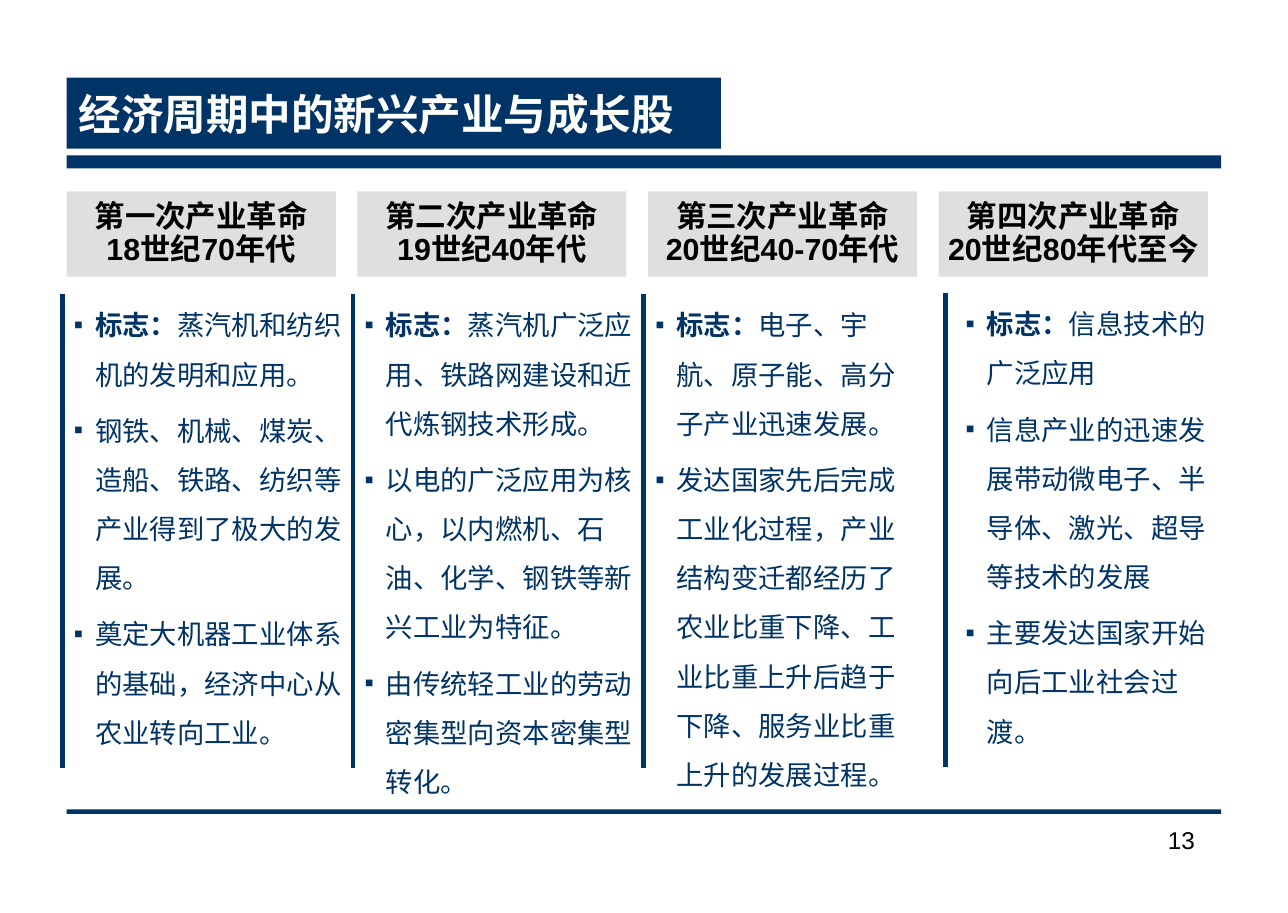
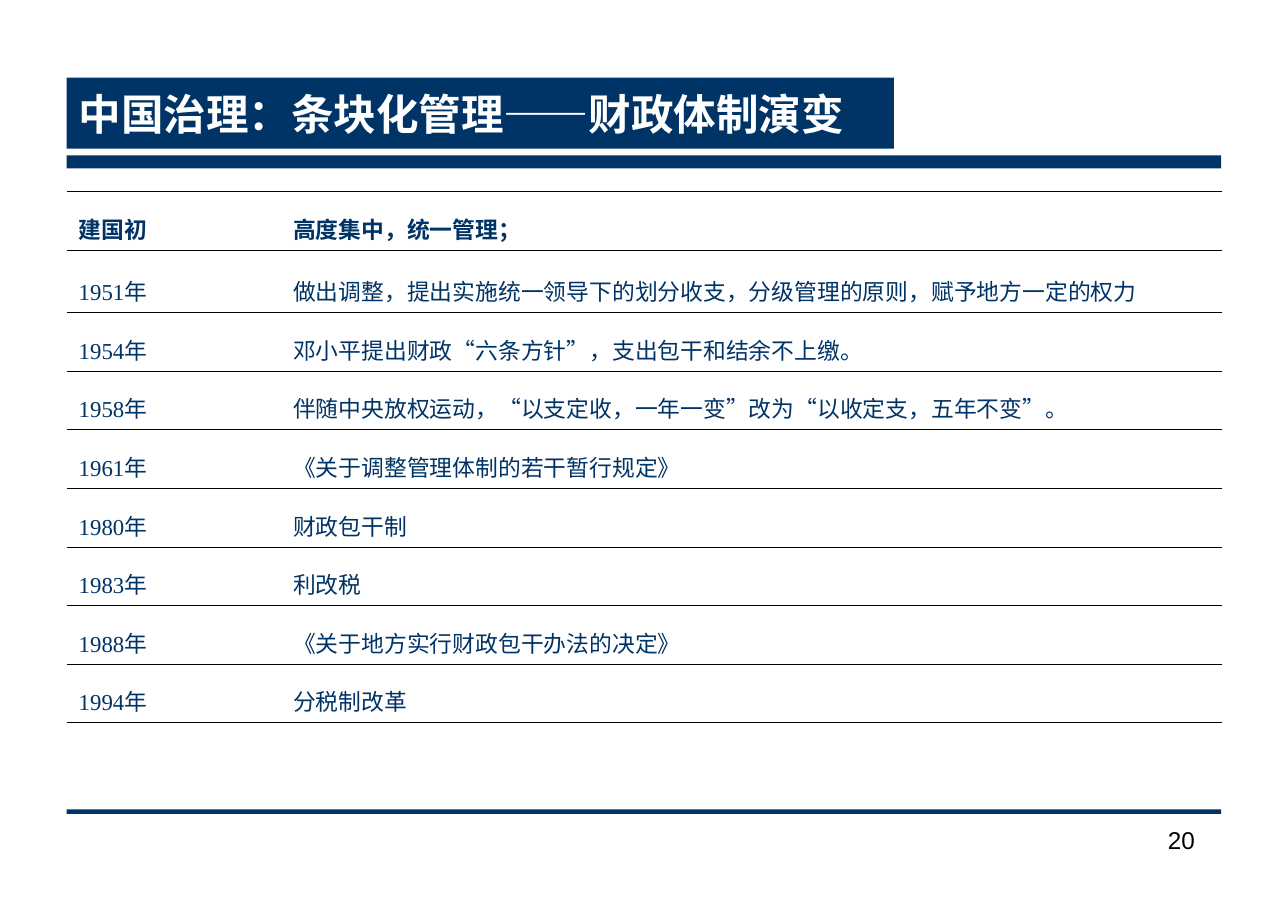
from dataclasses import dataclass

from lxml import etree
from pptx import Presentation
from pptx.dml.color import RGBColor
from pptx.enum.shapes import MSO_CONNECTOR, MSO_SHAPE
from pptx.enum.text import MSO_ANCHOR, MSO_AUTO_SIZE, PP_ALIGN
from pptx.oxml.ns import qn
from pptx.util import Cm, Inches, Pt

RECTANGLE, STRAIGHT = MSO_SHAPE.RECTANGLE, MSO_CONNECTOR.STRAIGHT
TOP, MIDDLE, BOTTOM = MSO_ANCHOR.TOP, MSO_ANCHOR.MIDDLE, MSO_ANCHOR.BOTTOM
LEFT, CENTER, RIGHT, JUSTIFY = PP_ALIGN.LEFT, PP_ALIGN.CENTER, PP_ALIGN.RIGHT, PP_ALIGN.JUSTIFY
NO_AUTOFIT = MSO_AUTO_SIZE.NONE


@dataclass(frozen=True)
class Theme:
    navy: str = "003366"
    grey: str = "DFDFDF"
    white: str = "FFFFFF"
    black: str = "000000"
    sans: str = "Arial"
    serif: str = "Times New Roman"
    title: int = 28
    heading: int = 20
    body: int = 18
    number: int = 16
    table: int = 15


THEME = Theme()

# Content
LEAD = "标志："
REVOLUTIONS = [
    {"heading": ("第一次产业革命", "18世纪70年代"), "width": 2.75,
     "points": ("蒸汽机和纺织机的发明和应用。",
                "钢铁、机械、煤炭、造船、铁路、纺织等产业得到了极大的发展。",
                "奠定大机器工业体系的基础，经济中心从农业转向工业。")},
    {"heading": ("第二次产业革命", "19世纪40年代"), "width": 2.81,
     "points": ("蒸汽机广泛应用、铁路网建设和近代炼钢技术形成。",
                "以电的广泛应用为核心，以内燃机、石油、化学、钢铁等新兴工业为特征。",
                "由传统轻工业的劳动密集型向资本密集型转化。")},
    {"heading": ("第三次产业革命", "20世纪40-70年代"), "width": 2.65,
     "points": ("电子、宇航、原子能、高分子产业迅速发展。",
                "发达国家先后完成工业化过程，产业结构变迁都经历了农业比重下降、"
                "工业比重上升后趋于下降、服务业比重上升的发展过程。")},
    {"heading": ("第四次产业革命", "20世纪80年代至今"), "width": 2.56,
     "rule_shift": 0.1, "text_shift": 0.18, "rise": 0.01,
     "points": ("信息技术的广泛应用",
                "信息产业的迅速发展带动微电子、半导体、激光、超导等技术的发展",
                "主要发达国家开始向后工业社会过渡。")},
]
FISCAL_HISTORY = [
    ("建国初", "高度集中，统一管理；"),
    ("1951年", "做出调整，提出实施统一领导下的划分收支，分级管理的原则，赋予地方一定的权力"),
    ("1954年", "邓小平提出财政“六条方针”，支出包干和结余不上缴。"),
    ("1958年", "伴随中央放权运动，“以支定收，一年一变”改为“以收定支，五年不变”。"),
    ("1961年", "《关于调整管理体制的若干暂行规定》"),
    ("1980年", "财政包干制"),
    ("1983年", "利改税"),
    ("1988年", "《关于地方实行财政包干办法的决定》"),
    ("1994年", "分税制改革"),
]

# Page in centimetres, grid in inches
PAGE_WIDTH, PAGE_HEIGHT = Cm(29.9), Cm(21.2)
MARGIN, CONTENT_WIDTH, CONTENT_TOP = 0.61, 10.55, 1.75
LAST_COLUMN, HEADING_WIDTH, HEADING_HEIGHT = 8.58, 2.46, 0.78
COLUMN_STEP = (LAST_COLUMN - MARGIN) / (len(REVOLUTIONS) - 1)
RULE_TOP, RULE_HEIGHT, RULE_OFFSET = 2.69, 4.33, -0.04
TEXT_TOP, TEXT_HEIGHT = 2.61, 4.75
TABLE_COLUMNS, TABLE_HEIGHT = (1.96, 8.6), 4.86
TALL_ROW, TALL_ROW_HEIGHT = 1, 0.57
ROW_HEIGHT = (TABLE_HEIGHT - TALL_ROW_HEIGHT) / (len(FISCAL_HISTORY) - 1)


def inches(*lengths):
    return [Inches(length) for length in lengths]


def colour(code):
    return RGBColor.from_string(code)


def paint(shape, code):
    shape.fill.solid()
    shape.fill.fore_color.rgb = colour(code)
    shape.line.fill.background()


def add_block(page, code, *place):
    block = page.shapes.add_shape(RECTANGLE, *inches(*place))
    block.shadow.inherit = False
    paint(block, code)
    return block


def set_frame(frame, anchor=TOP, wrap=True):
    frame.margin_left = frame.margin_right = Inches(0.11)
    frame.margin_top = frame.margin_bottom = Inches(0.06)
    frame.vertical_anchor = anchor
    frame.auto_size = NO_AUTOFIT
    frame.word_wrap = wrap


def style(para, size, code, align=LEFT, spacing=1.0, bold=False, face=THEME.sans):
    para.alignment = align
    para.line_spacing = spacing
    for span in para.runs:
        span.font.name = face
        span.font.size = Pt(size)
        span.font.bold = bold
        span.font.color.rgb = colour(code)


def add_bullet(para):
    props = para._p.get_or_add_pPr()
    props.set("marL", str(Inches(0.19)))
    props.set("indent", str(-Inches(0.19)))
    props.set("hangingPunct", "0")
    tint = etree.SubElement(props, qn("a:buClr"))
    etree.SubElement(tint, qn("a:srgbClr"), val=THEME.navy)
    etree.SubElement(props, qn("a:buSzPct"), val="50000")
    etree.SubElement(props, qn("a:buFont"), typeface=THEME.sans)
    etree.SubElement(props, qn("a:buChar"), char="■")


def add_page(deck, title, title_width, number):
    page = deck.slides.add_slide(deck.slide_layouts[5])
    # Bands
    add_block(page, THEME.navy, MARGIN, 1.42, CONTENT_WIDTH, 0.12)
    add_block(page, THEME.navy, MARGIN, 7.4, CONTENT_WIDTH, 0.04)
    # Title
    box = page.shapes.title
    box.left, box.top, box.width, box.height = inches(MARGIN, 0.71, title_width, 0.65)
    paint(box, THEME.navy)
    box.text_frame.text = title
    set_frame(box.text_frame, MIDDLE)
    style(box.text_frame.paragraphs[0], THEME.title, THEME.white, bold=True)
    # Page number
    frame = page.shapes.add_textbox(*inches(10.14, 7.48, 0.89, 0.58)).text_frame
    frame.text = str(number)
    set_frame(frame)
    style(frame.paragraphs[0], THEME.number, THEME.black, RIGHT)
    return page


def add_rule(page, x, top):
    rule = page.shapes.add_connector(STRAIGHT, *inches(x, top, x, top + RULE_HEIGHT))
    rule.line.color.rgb = colour(THEME.navy)
    rule.line.width = Pt(3)
    etree.SubElement(rule._element.spPr, qn("a:effectLst"))


def add_revolution(page, index, column):
    left = MARGIN + index * COLUMN_STEP
    rise = column.get("rise", 0)
    edge = left + RULE_OFFSET
    add_rule(page, edge + column.get("rule_shift", 0), RULE_TOP - rise)
    # Heading
    block = add_block(page, THEME.grey, left, CONTENT_TOP, HEADING_WIDTH, HEADING_HEIGHT)
    block.text_frame.text = "\n".join(column["heading"])
    set_frame(block.text_frame, MIDDLE, wrap=False)
    for para in block.text_frame.paragraphs:
        style(para, THEME.heading, THEME.black, CENTER, 0.9, bold=True)
    # Points
    frame = page.shapes.add_textbox(*inches(
        edge + column.get("text_shift", 0), TEXT_TOP - rise,
        column["width"], TEXT_HEIGHT)).text_frame
    set_frame(frame)
    for order, point in enumerate(column["points"]):
        para = frame.add_paragraph() if order else frame.paragraphs[0]
        add_bullet(para)
        if order:
            para.space_before = Pt(4.5)
        else:
            para.add_run().text = LEAD
        para.add_run().text = point
        style(para, THEME.body, THEME.navy, spacing=1.5)
    frame.paragraphs[0].runs[0].font.bold = True


def set_borders(cell, top, bottom):
    props = cell._tc.get_or_add_tcPr()
    widths = {"a:lnL": 0, "a:lnR": 0, "a:lnT": top, "a:lnB": bottom}
    for position, (tag, width) in enumerate(widths.items()):
        line = etree.Element(qn(tag), w=str(Pt(width)))
        if width:
            fill = etree.SubElement(line, qn("a:solidFill"))
            etree.SubElement(fill, qn("a:srgbClr"), val=THEME.black)
        else:
            etree.SubElement(line, qn("a:noFill"))
        props.insert(position, line)


def add_history_table(page, rows):
    table = page.shapes.add_table(
        len(rows), len(TABLE_COLUMNS),
        *inches(MARGIN, CONTENT_TOP, sum(TABLE_COLUMNS), TABLE_HEIGHT)).table
    table.first_row = table.horz_banding = False
    for column, width in zip(table.columns, TABLE_COLUMNS):
        column.width = Inches(width)
    last = len(rows) - 1
    for index, texts in enumerate(rows):
        row = table.rows[index]
        row.height = Inches(TALL_ROW_HEIGHT if index == TALL_ROW else ROW_HEIGHT)
        for cell, text in zip(row.cells, texts):
            cell.text = text
            cell.fill.background()
            cell.vertical_anchor = BOTTOM
            cell.margin_left = cell.margin_right = Inches(0.11)
            cell.margin_top = cell.margin_bottom = Inches(0.05)
            style(cell.text_frame.paragraphs[0], THEME.table, THEME.navy, JUSTIFY,
                  1.2, bold=index == 0, face=THEME.serif)
            set_borders(cell, 0.75 if index == 0 else 0.45,
                        0.75 if index == last else 0.45)


def main():
    deck = Presentation()
    deck.slide_width, deck.slide_height = PAGE_WIDTH, PAGE_HEIGHT

    page = add_page(deck, "经济周期中的新兴产业与成长股", 5.98, 13)
    for index, column in enumerate(REVOLUTIONS):
        add_revolution(page, index, column)

    page = add_page(deck, "中国治理：条块化管理——财政体制演变", 7.56, 20)
    add_history_table(page, FISCAL_HISTORY)

    deck.save("out.pptx")


if __name__ == "__main__":
    main()
